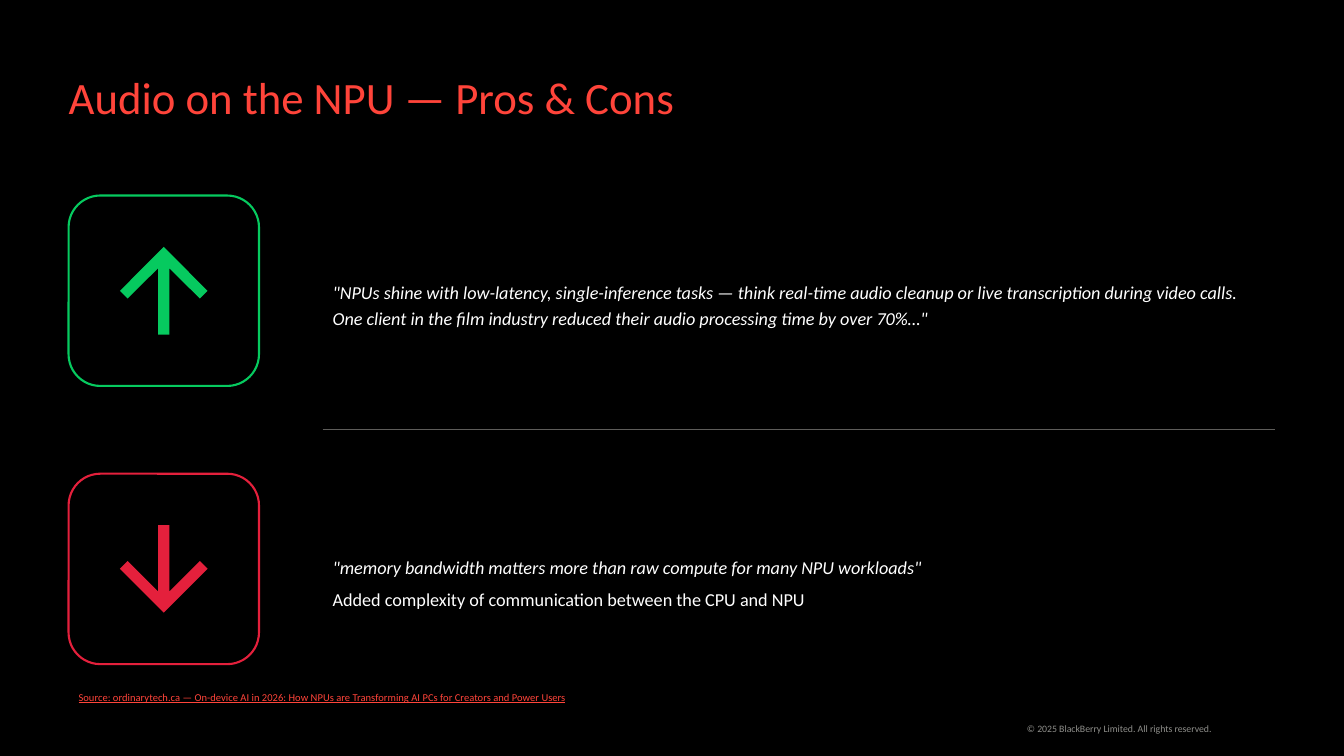
from lxml.etree import SubElement
from pptx import Presentation
from pptx.dml.color import RGBColor
from pptx.enum.shapes import MSO_CONNECTOR, MSO_SHAPE
from pptx.enum.text import MSO_ANCHOR as Anchor, PP_ALIGN as Align
from pptx.oxml.ns import qn
from pptx.util import Pt

TITLE = "Audio on the NPU — Pros & Cons"
ROWS = [
    ("06CA5F", "up", [
        ('"NPUs shine with low-latency, single-inference tasks — think real-time audio cleanup '
         'or live transcription during video calls. One client in the film industry reduced '
         'their audio processing time by over 70%…"', True),
    ]),
    ("E4203C", "down", [
        ('"memory bandwidth matters more than raw compute for many NPU workloads"', True),
        ("Added complexity of communication between the CPU and NPU", False),
    ]),
]
SOURCE = ("Source: ordinarytech.ca — On-device AI in 2026: How NPUs are Transforming "
          "AI PCs for Creators and Power Users")
COPYRIGHT = "© 2025 BlackBerry Limited. All rights reserved."

FONT = "Calibri"
ACCENT, WHITE, GREY, RULE, BLACK = "FF443A", "FFFFFF", "8F8F8B", "5E5D5A", "000000"
LEFT, WIDTH = 49, 862
TEXT_LEFT, TEXT_WIDTH, TEXT_HEIGHT = 230.5, 680.5, 153.4
ROW_TOP, ROW_PITCH, TILE = 139.7, 198.7, 136
ARROW = 62.6
DOWN_ARROW_HALF = [(4, 0), (4, 47.4), (25.8, 25.7), (31.3, 31.2)]


def color(value):
    return RGBColor.from_string(value)


def style(paragraph, size, value, italic=False, underline=False):
    font = paragraph.font
    font.name, font.size, font.italic, font.underline = FONT, Pt(size), italic, underline
    font.color.rgb = color(value)


def add_text(left, top, width, height, lines, size, value,
             anchor=Anchor.TOP, align=Align.LEFT, inset=True, underline=False):
    box = slide.shapes.add_textbox(Pt(left), Pt(top), Pt(width), Pt(height))
    frame = box.text_frame
    frame.word_wrap = True
    frame.vertical_anchor = anchor
    if not inset:
        frame.margin_left = frame.margin_right = frame.margin_top = frame.margin_bottom = 0
    for index, (text, italic) in enumerate(lines):
        paragraph = frame.add_paragraph() if index else frame.paragraphs[0]
        paragraph.text = text
        paragraph.alignment = align
        paragraph.line_spacing = 1.2
        paragraph.space_before = Pt(2 if index else 0)
        paragraph.space_after = Pt(2)
        style(paragraph, size, value, italic, underline)


def add_tile(top, value):
    tile = slide.shapes.add_shape(MSO_SHAPE.ROUNDED_RECTANGLE, Pt(LEFT), Pt(top), Pt(TILE), Pt(TILE))
    tile.shadow.inherit = False
    tile.fill.background()
    tile.line.color.rgb = color(value)
    tile.line.width = Pt(1.5)


def add_arrow(top, value, direction):
    center_x, center_y = LEFT + TILE / 2, top + TILE / 2
    sign = 1 if direction == "down" else -1
    mirrored = [(-x, y) for x, y in reversed(DOWN_ARROW_HALF)]
    outline = DOWN_ARROW_HALF + [(0, ARROW)] + mirrored
    points = [(Pt(center_x + x), Pt(center_y + sign * (y - ARROW / 2))) for x, y in outline]
    builder = slide.shapes.build_freeform(*points[0])
    builder.add_line_segments(points[1:], close=True)
    arrow = builder.convert_to_shape()
    arrow.shadow.inherit = False
    arrow.fill.solid()
    arrow.fill.fore_color.rgb = color(value)
    arrow.line.fill.background()


presentation = Presentation()
presentation.slide_width, presentation.slide_height = Pt(960), Pt(540)
slide = presentation.slides.add_slide(presentation.slide_layouts[5])
slide.background.fill.solid()
slide.background.fill.fore_color.rgb = color(BLACK)

title = slide.shapes.title
title.left, title.top, title.width, title.height = Pt(LEFT), Pt(49), Pt(WIDTH), Pt(39.6)
frame = title.text_frame
frame.margin_left = frame.margin_right = frame.margin_top = frame.margin_bottom = 0
frame.vertical_anchor = Anchor.MIDDLE
frame.text = TITLE
frame.paragraphs[0].alignment = Align.LEFT
style(frame.paragraphs[0], 32, ACCENT)

for row, (value, direction, lines) in enumerate(ROWS):
    top = ROW_TOP + row * ROW_PITCH
    add_tile(top, value)
    add_arrow(top, value, direction)
    add_text(TEXT_LEFT, top, TEXT_WIDTH, TEXT_HEIGHT, lines, 13, WHITE, Anchor.MIDDLE)

rule_y = Pt(ROW_TOP + (ROW_PITCH + TILE) / 2)
rule = slide.shapes.add_connector(
    MSO_CONNECTOR.STRAIGHT, Pt(TEXT_LEFT), rule_y, Pt(TEXT_LEFT + TEXT_WIDTH), rule_y)
rule.line.color.rgb = color(RULE)
rule.line.width = Pt(0.75)
SubElement(rule._element.spPr, qn("a:effectLst"))

add_text(LEFT, 488, WIDTH, 16, [(SOURCE, False)], 7.5, ACCENT, underline=True)
add_text(684, 514, 181.4, 11.5, [(COPYRIGHT, False)], 7, GREY, Anchor.MIDDLE, Align.RIGHT, inset=False)

presentation.save("out.pptx")
